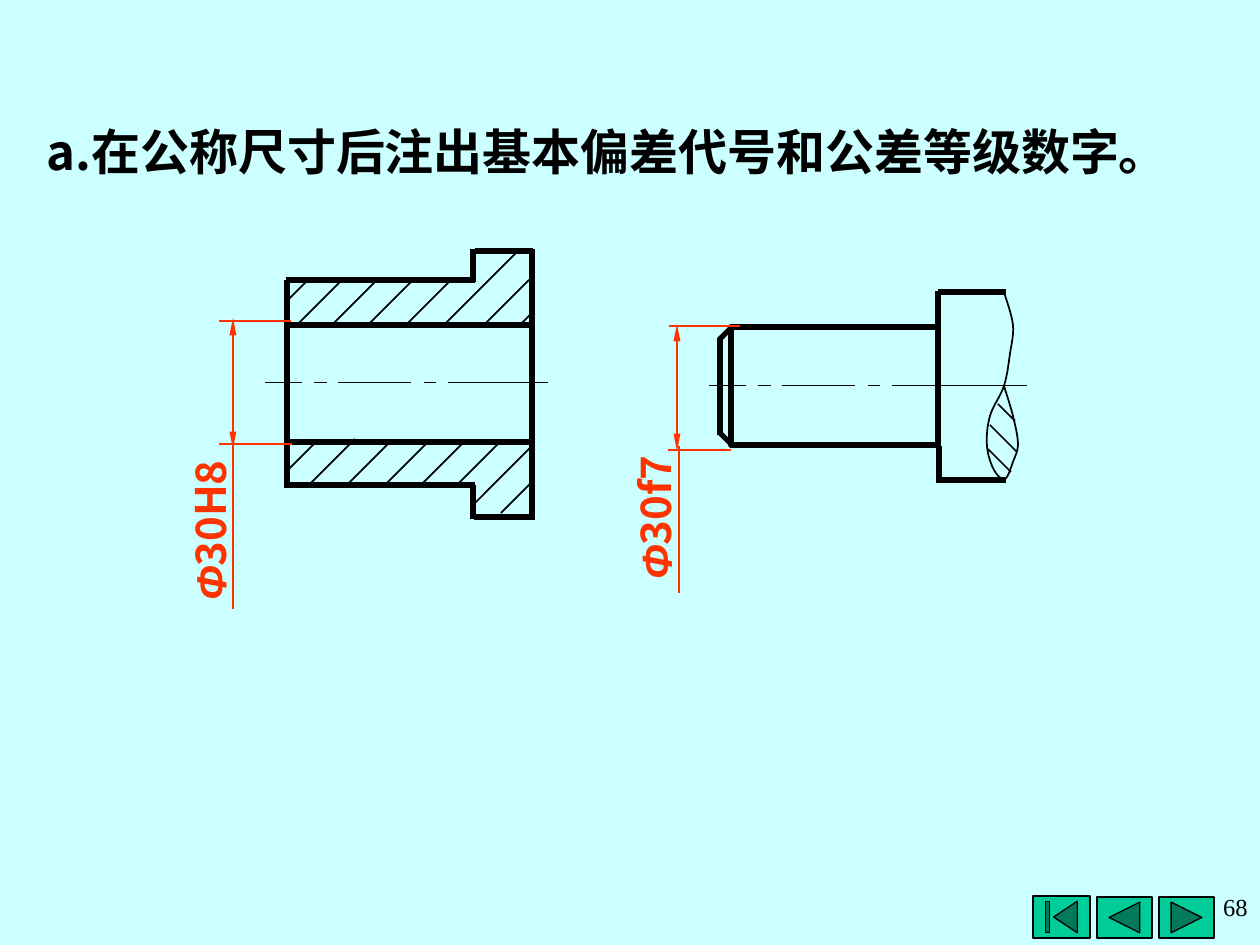
from typing import NamedTuple

import lxml.etree
import pptx
import pptx.dml.color
import pptx.enum.shapes
import pptx.enum.text
import pptx.oxml.ns
import pptx.util

EMU_PER_PX = 914400 / 126
BACKGROUND = pptx.dml.color.RGBColor(0xCC, 0xFF, 0xFF)
BLACK = pptx.dml.color.RGBColor(0, 0, 0)
DIMENSION_RED = pptx.dml.color.RGBColor(0xFF, 0x33, 0x00)
BUTTON_GREEN = pptx.dml.color.RGBColor(0x00, 0xCC, 0x99)
CJK_FONT = "Noto Sans CJK SC"
OUTLINE_PT, THIN_PT, CENTRE_PT = 3, 1, 0.25
SHAPE = pptx.enum.shapes.MSO_SHAPE
ALIGN = pptx.enum.text.PP_ALIGN
ANCHOR = pptx.enum.text.MSO_ANCHOR


class Box(NamedTuple):
    left: int
    top: int
    width: int
    height: int


class Stroke(NamedTuple):
    x1: int
    y1: int
    x2: int
    y2: int


class Hatch(NamedTuple):
    """A 45 degree line from (x, y); a negative rise runs downwards."""
    x: int
    y: int
    rise: int


class Dimension(NamedTuple):
    extensions: tuple[Stroke, Stroke]
    arrow: Stroke
    leader: Stroke
    label: Box
    tolerance: str


class Button(NamedTuple):
    preset: SHAPE
    box: Box


# Sleeve with a flange, cut open
SLEEVE_OUTLINE = (
    Stroke(286, 280, 475, 280), Stroke(286, 485, 475, 485),
    Stroke(473, 249, 473, 282), Stroke(473, 485, 473, 519),
    Stroke(475, 251, 533, 251), Stroke(474, 517, 535, 517),
    Stroke(532, 249, 532, 517), Stroke(287, 280, 287, 488),
    Stroke(287, 325, 532, 325), Stroke(287, 442, 532, 442),
)
SLEEVE_HATCHES = (
    Hatch(286, 302, 23), Hatch(297, 325, 45), Hatch(331, 326, 46), Hatch(369, 324, 43),
    Hatch(406, 325, 43), Hatch(444, 325, 75), Hatch(485, 324, 45), Hatch(520, 325, 12),
    Hatch(287, 471, 30), Hatch(309, 485, 46), Hatch(346, 486, 46), Hatch(384, 486, 44),
    Hatch(420, 486, 44), Hatch(456, 486, 44), Hatch(473, 505, 58), Hatch(501, 513, 29),
)

# Shaft with a chamfered end and a broken collar
SHAFT_BODY = Box(731, 327, 207, 118)
SHAFT_OUTLINE = (
    Stroke(732, 327, 719, 340), Stroke(732, 445, 720, 433), Stroke(720, 338, 720, 435),
    Stroke(938, 327, 938, 291), Stroke(939, 483, 939, 446),
    Stroke(938, 292, 1006, 292), Stroke(938, 480, 1006, 480),
)
SHAFT_HATCHES = (Hatch(998, 404, -17), Hatch(990, 425, -27), Hatch(988, 449, -23))
BREAK_KNOTS = (
    (1004, 292), (1013, 325), (1010, 354), (1004, 386), (990, 416), (987, 446),
    (994, 470), (1005, 479), (1013, 462), (1018, 444), (1013, 416), (1004, 386),
)

# Dash starts and ends, measured from the left end of a centre line
CENTRE_DASHES = ((0, 37), (49, 62), (73, 146), (159, 171), (183, 256), (268, 279))
LAST_DASH_START = 247

DIMENSIONS = (
    Dimension((Stroke(291, 321, 219, 321), Stroke(292, 444, 219, 444)),
              Stroke(233, 318, 233, 449), Stroke(233, 444, 233, 609),
              Box(125, 499, 169, 63), "30H8"),
    Dimension((Stroke(740, 326, 669, 326), Stroke(731, 450, 668, 450)),
              Stroke(677, 324, 677, 451), Stroke(679, 446, 679, 593),
              Box(572, 486, 166, 63), "30f7"),
)
BUTTONS = (
    Button(SHAPE.ACTION_BUTTON_FORWARD_OR_NEXT, Box(1159, 897, 55, 41)),
    Button(SHAPE.ACTION_BUTTON_BACK_OR_PREVIOUS, Box(1097, 897, 55, 41)),
    Button(SHAPE.ACTION_BUTTON_BEGINNING, Box(1033, 896, 57, 42)),
)


def px(length: float) -> pptx.util.Emu:
    return pptx.util.Emu(round(length * EMU_PER_PX))


def emu(lengths) -> list[pptx.util.Emu]:
    return [px(length) for length in lengths]


def draw_stroke(shapes, stroke: Stroke, color, width: float, arrows: bool = False) -> None:
    line = shapes.add_connector(pptx.enum.shapes.MSO_CONNECTOR.STRAIGHT, *emu(stroke))
    line.line.color.rgb = color
    line.line.width = pptx.util.Pt(width)
    properties = line._element.spPr
    if arrows:
        for end in ("a:headEnd", "a:tailEnd"):
            lxml.etree.SubElement(line.line._get_or_add_ln(), pptx.oxml.ns.qn(end),
                                  type="triangle", w="sm", len="lg")
    lxml.etree.SubElement(properties, pptx.oxml.ns.qn("a:effectLst"))


def draw_hatch(shapes, hatch: Hatch) -> None:
    x, y, rise = hatch
    draw_stroke(shapes, Stroke(x, y, x + abs(rise), y - rise), BLACK, THIN_PT)


def draw_centre_line(shapes, left: int, y: int, length: int) -> None:
    for start, end in (*CENTRE_DASHES, (LAST_DASH_START, length)):
        draw_stroke(shapes, Stroke(left + start, y, left + end, y), BLACK, CENTRE_PT)


def draw_break(shapes, knots, steps: int = 8) -> None:
    """Draw a smooth (Catmull-Rom) curve through the knots."""
    padded = (knots[0], *knots, knots[-1])
    points = []
    for a, b, c, d in zip(padded, padded[1:], padded[2:], padded[3:]):
        for t in (step / steps for step in range(1, steps + 1)):
            points.append([
                EMU_PER_PX * (q + t / 2 * (r - p + t * (2 * p - 5 * q + 4 * r - s
                                                      + t * (3 * q - p - 3 * r + s))))
                for p, q, r, s in zip(a, b, c, d)])
    builder = shapes.build_freeform(*emu(knots[0]))
    builder.add_line_segments(points, close=False)
    curve = builder.convert_to_shape()
    curve.shadow.inherit = False
    curve.fill.background()
    curve.line.color.rgb = BLACK
    curve.line.width = pptx.util.Pt(THIN_PT)


def style_font(font, size: int, name: str, color, bold: bool = False) -> None:
    font.size, font.name, font.bold = pptx.util.Pt(size), name, bold
    font.color.rgb = color


def draw_dimension(shapes, dimension: Dimension) -> None:
    for stroke in (*dimension.extensions, dimension.leader):
        draw_stroke(shapes, stroke, DIMENSION_RED, THIN_PT)
    draw_stroke(shapes, dimension.arrow, DIMENSION_RED, THIN_PT, arrows=True)
    label = shapes.add_textbox(*emu(dimension.label))
    label.rotation = 270
    label.text_frame.word_wrap = True
    label.text_frame.vertical_anchor = ANCHOR.MIDDLE
    paragraph = label.text_frame.paragraphs[0]
    paragraph.alignment = ALIGN.CENTER
    for text, font_name, italic in (("Φ", "Arial", True), (dimension.tolerance, CJK_FONT, False)):
        run = paragraph.add_run()
        run.text = text
        style_font(run.font, 24, font_name, DIMENSION_RED, bold=True)
        run.font.italic = italic


def draw_button(shapes, button: Button) -> None:
    key = shapes.add_shape(button.preset, *emu(button.box))
    key.shadow.inherit = False
    key.fill.solid()
    key.fill.fore_color.rgb = BUTTON_GREEN
    key.line.color.rgb = BLACK
    key.line.width = pptx.util.Pt(0.75)


def main() -> None:
    deck = pptx.Presentation()
    deck.slide_width, deck.slide_height = px(1260), px(945)
    slide = deck.slides.add_slide(deck.slide_layouts[5])
    slide.background.fill.solid()
    slide.background.fill.fore_color.rgb = BACKGROUND
    shapes = slide.shapes

    # Title
    title = shapes.title
    title.left, title.top, title.width, title.height = emu(Box(34, 115, 1191, 72))
    title.text_frame.text = "a.在公称尺寸后注出基本偏差代号和公差等级数字。"
    title.text_frame.vertical_anchor = ANCHOR.MIDDLE
    heading = title.text_frame.paragraphs[0]
    heading.alignment = ALIGN.LEFT
    style_font(heading.font, 28, CJK_FONT, BLACK, bold=True)
    lxml.etree.SubElement(heading.font._element, pptx.oxml.ns.qn("a:ea"), typeface=CJK_FONT)

    # Sleeve and shaft
    body = shapes.add_shape(SHAPE.RECTANGLE, *emu(SHAFT_BODY))
    body.shadow.inherit = False
    body.fill.background()
    body.line.color.rgb = BLACK
    body.line.width = pptx.util.Pt(OUTLINE_PT)
    for stroke in SLEEVE_OUTLINE + SHAFT_OUTLINE:
        draw_stroke(shapes, stroke, BLACK, OUTLINE_PT)
    for hatch in SLEEVE_HATCHES + SHAFT_HATCHES:
        draw_hatch(shapes, hatch)
    draw_break(shapes, BREAK_KNOTS)
    draw_centre_line(shapes, 265, 382, 283)
    draw_centre_line(shapes, 709, 385, 318)

    # Dimensions with tolerance codes
    for dimension in DIMENSIONS:
        draw_dimension(shapes, dimension)

    # Navigation buttons and page number
    for button in BUTTONS:
        draw_button(shapes, button)
    page = shapes.add_textbox(*emu(Box(942, 886, 318, 77))).text_frame
    page.word_wrap = True
    page.text = "68"
    page.paragraphs[0].alignment = ALIGN.RIGHT
    style_font(page.paragraphs[0].font, 14, "Times New Roman", BLACK)

    deck.save("out.pptx")


if __name__ == "__main__":
    main()
